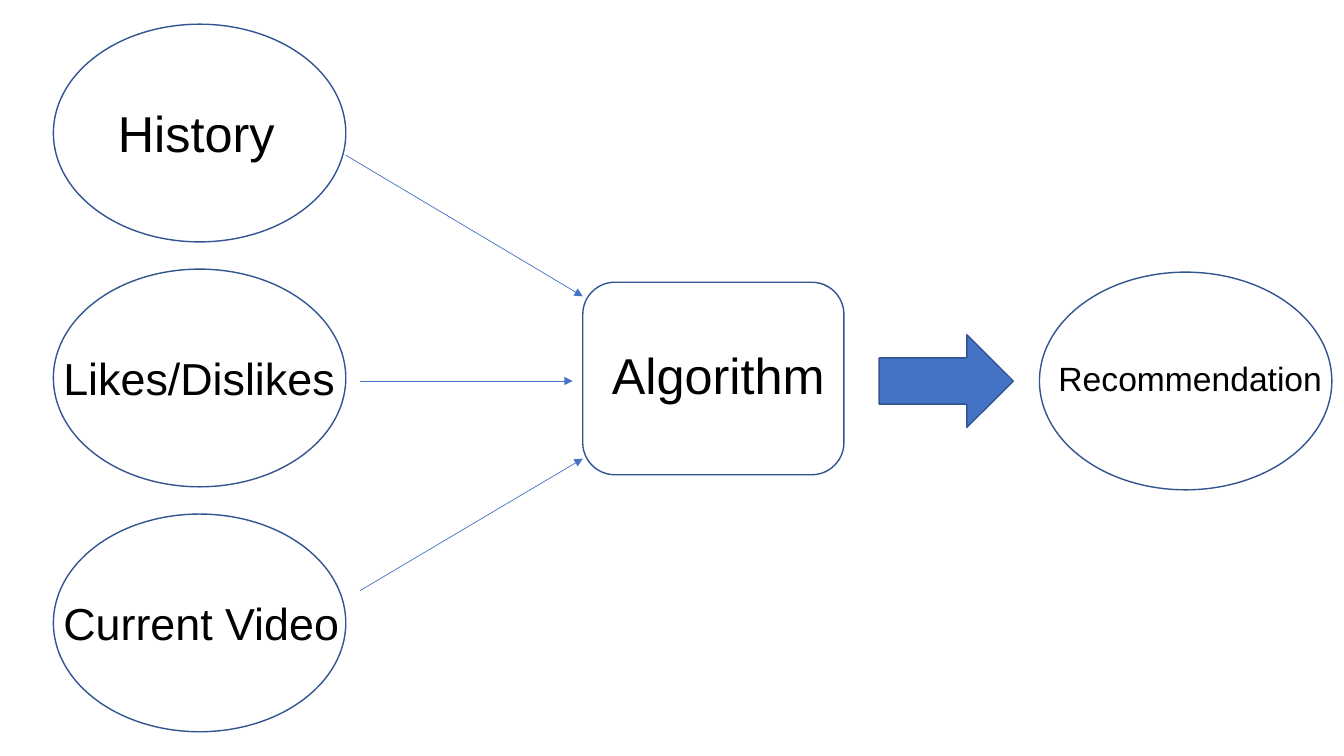
from lxml import etree
from pptx import Presentation
from pptx.dml.color import RGBColor
from pptx.enum.shapes import MSO_CONNECTOR, MSO_SHAPE
from pptx.enum.text import MSO_AUTO_SIZE
from pptx.oxml.ns import qn
from pptx.util import Inches, Pt

OVAL = MSO_SHAPE.OVAL
ROUNDED = MSO_SHAPE.ROUNDED_RECTANGLE
BLOCK_ARROW = MSO_SHAPE.RIGHT_ARROW
STRAIGHT = MSO_CONNECTOR.STRAIGHT
FIT_SHAPE = MSO_AUTO_SIZE.SHAPE_TO_FIT_TEXT

BLUE = RGBColor(0x44, 0x72, 0xC4)
OUTLINE = RGBColor(0x32, 0x54, 0x91)
BLACK = RGBColor(0, 0, 0)

OVAL_SIZE = (2.9, 2.16)
INPUT_LEFT, INPUT_TOP, INPUT_STEP = 0.53, 0.24, 2.43
INPUTS = [
    ("History", 36, (1.07, 0.96, 1.82, 0.71)),
    ("Likes/Dislikes", 32, (0.53, 3.43, 3.57, 0.64)),
    ("Current Video", 32, (0.53, 5.86, 3.04, 0.64)),
]
STAGES = [
    (ROUNDED, (5.78, 2.8, 2.59, 1.91), None),
    (BLOCK_ARROW, (8.72, 3.32, 1.33, 0.92), BLUE),
    (OVAL, (10.31, 2.7, *OVAL_SIZE), None),
]
STAGE_LABELS = [
    ("Algorithm", 36, (5.97, 3.36, 2.75, 0.71)),
    ("Recommendation", 24, (10.4, 3.5, 2.9, 0.5)),
]
ARROWS = [
    (3.43, 1.54, 5.78, 2.94),
    (3.57, 3.78, 5.68, 3.78),
    (3.57, 5.86, 5.78, 4.55),
]


def inches(lengths):
    """Convert a sequence of numbers to lengths."""
    return [Inches(length) for length in lengths]


def add_figure(page, kind, bounds, fill=None):
    """Add an outlined shape, filled only if a colour is given."""
    figure = page.shapes.add_shape(kind, *inches(bounds))
    figure.shadow.inherit = False
    if fill is None:
        figure.fill.background()
    else:
        figure.fill.solid()
        figure.fill.fore_color.rgb = fill
    figure.line.color.rgb = OUTLINE
    figure.line.width = Pt(1)


def add_label(page, text, size, bounds):
    """Add a one-line label."""
    box = page.shapes.add_textbox(*inches(bounds))
    box.text_frame.word_wrap = True
    box.text_frame.auto_size = FIT_SHAPE
    span = box.text_frame.paragraphs[0].add_run()
    span.text = text
    for name, value in {"name": "Arial", "size": Pt(size)}.items():
        setattr(span.font, name, value)
    span.font.color.rgb = BLACK


def add_arrow(page, ends):
    """Add a thin line with a triangular head at its end."""
    arrow = page.shapes.add_connector(STRAIGHT, *inches(ends))
    arrow.line.color.rgb = BLUE
    arrow.line.width = Pt(0.5)
    etree.SubElement(arrow.line._get_or_add_ln(), qn("a:tailEnd"), type="triangle")
    etree.SubElement(arrow._element.spPr, qn("a:effectLst"))


def main():
    """Build the recommendation flow slide."""
    deck = Presentation()
    deck.slide_width, deck.slide_height = inches((13.33, 7.5))
    page = deck.slides.add_slide(deck.slide_layouts[6])
    for row in range(len(INPUTS)):
        top = INPUT_TOP + row * INPUT_STEP
        add_figure(page, OVAL, (INPUT_LEFT, top, *OVAL_SIZE))
    for kind, bounds, fill in STAGES:
        add_figure(page, kind, bounds, fill)
    for ends in ARROWS:
        add_arrow(page, ends)
    for text, size, bounds in INPUTS + STAGE_LABELS:
        add_label(page, text, size, bounds)
    deck.save("out.pptx")


if __name__ == "__main__":
    main()
